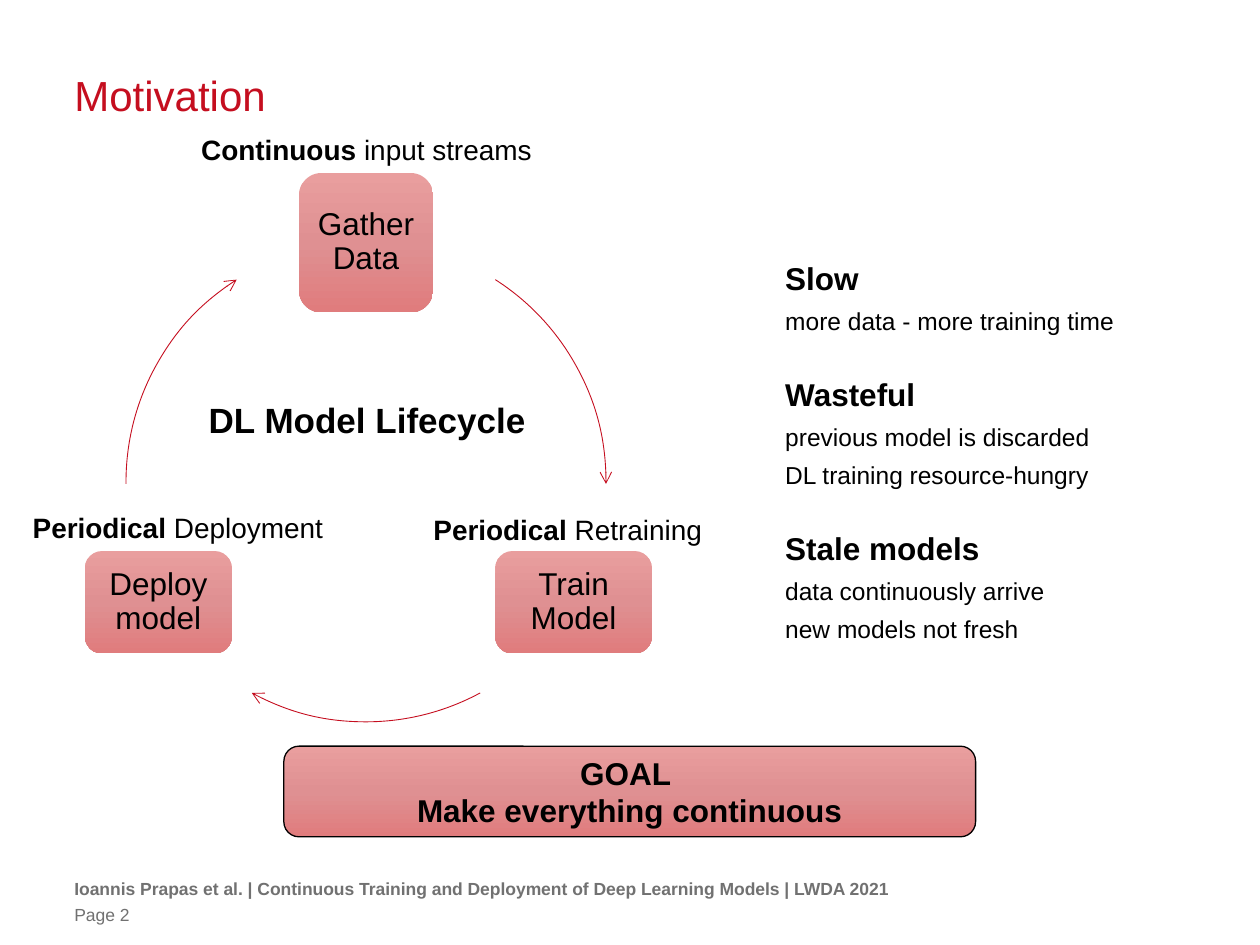
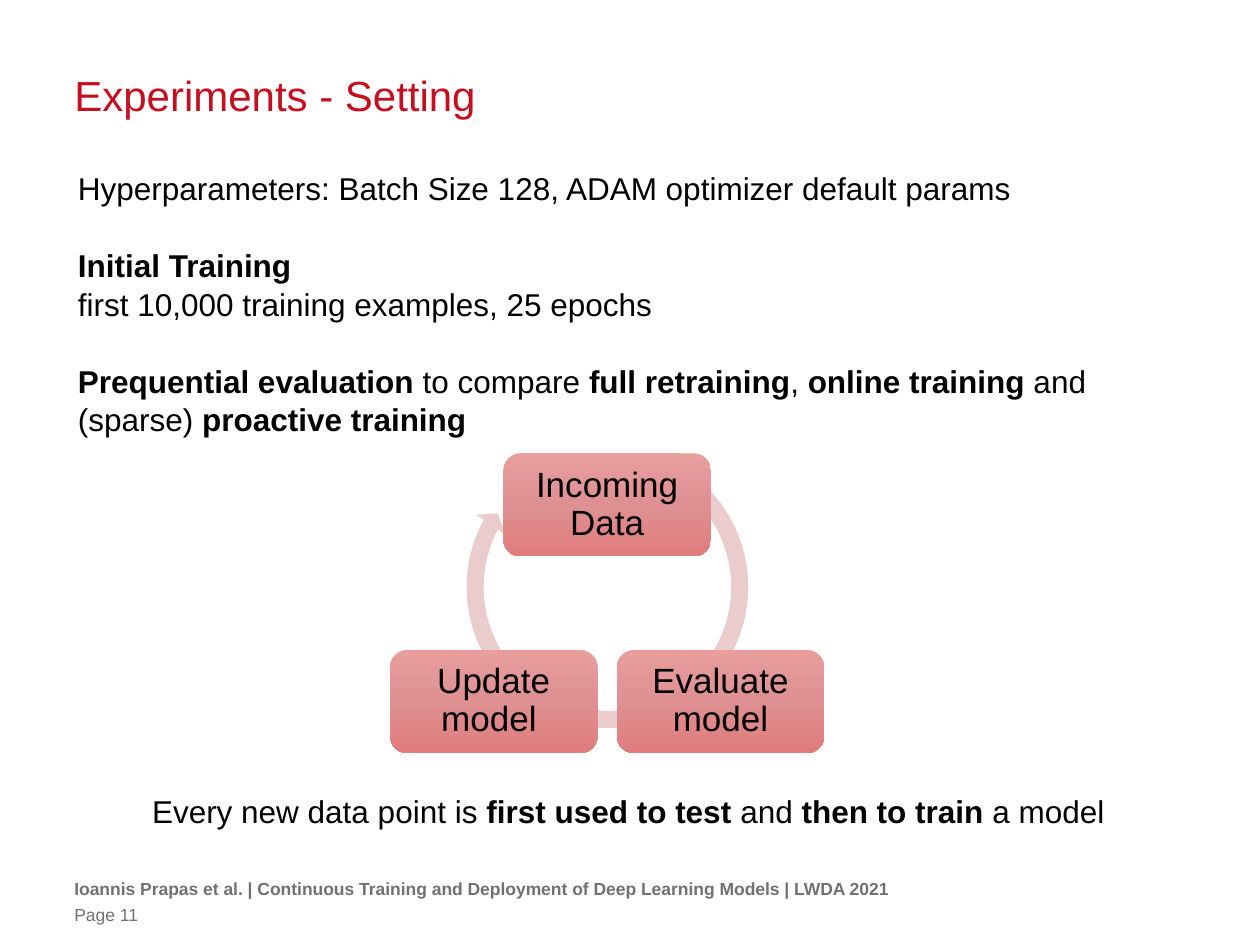
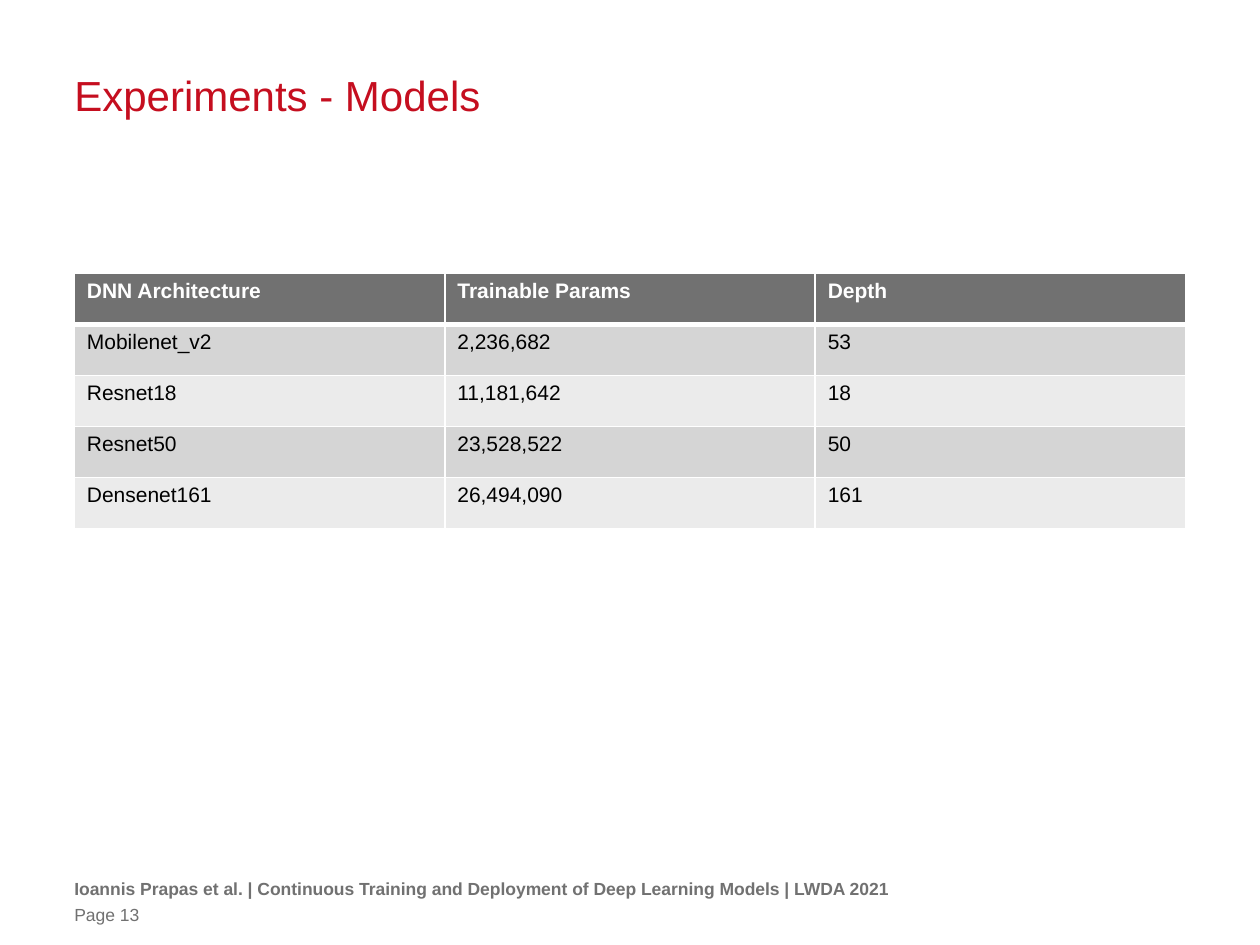
from copy import deepcopy
from dataclasses import dataclass

from lxml.etree import SubElement
from pptx import Presentation
from pptx.dml.color import RGBColor
from pptx.enum.shapes import MSO_SHAPE as Kind
from pptx.enum.text import MSO_ANCHOR as Anchor, PP_ALIGN as Align
from pptx.oxml.ns import qn
from pptx.util import Pt

FONT = "Arial"
LEFT, WIDE = 42.5, 635
COLORS = {
    "red": "C50E1F", "ink": "000000", "gray": "717171", "white": "FFFFFF",
    "ring": "EACCCD", "odd": "D5D5D5", "even": "EBEBEB",
    "top": "E99E9E", "mid": "DF9092", "low": "E07C7D",
}
FOOTER = ("Ioannis Prapas et al. | Continuous Training and Deployment "
          "of Deep Learning Models | LWDA 2021")
MODELS = [
    ("DNN Architecture", "Trainable Params", "Depth"),
    ("Mobilenet_v2", "2,236,682", "53"),
    ("Resnet18", "11,181,642", "18"),
    ("Resnet50", "23,528,522", "50"),
    ("Densenet161", "26,494,090", "161"),
]


@dataclass
class Line:
    """A paragraph; parts between asterisks are bold."""
    text: str
    size: float
    bold: bool = False
    gap: float = 0


def rgb(name):
    """Return the named colour."""
    return RGBColor.from_string(COLORS[name])


def style(font, size, color, bold=False):
    """Set the face, size, colour and weight of a font."""
    font.name, font.size, font.bold = FONT, Pt(size), bold
    font.color.rgb = rgb(color)


def write(frame, lines, color="ink", align=Align.LEFT, lead=None,
          pad=(0, 0), anchor=Anchor.TOP, wrap=True):
    """Fill a text frame with lines."""
    frame.word_wrap, frame.vertical_anchor = wrap, anchor
    frame.margin_left = frame.margin_right = Pt(pad[0])
    frame.margin_top = frame.margin_bottom = Pt(pad[1])
    for i, line in enumerate(lines):
        para = frame.add_paragraph() if i else frame.paragraphs[0]
        para.alignment, para.space_before = align, Pt(line.gap)
        if lead:
            para.line_spacing = lead
        style(para.font, line.size, color, line.bold)
        for j, part in enumerate(line.text.split("*")):
            if part:
                run = para.add_run()
                run.text = part
                if j % 2:
                    run.font.bold = True


def add_text(slide, area, lines, **opts):
    """Add a text box."""
    box = slide.shapes.add_textbox(*map(Pt, area))
    write(box.text_frame, lines, **opts)


def add_label(slide, area, line, wrap=False):
    """Add a centred label."""
    add_text(slide, area, [line], align=Align.CENTER, pad=(7.2, 3.6), wrap=wrap)


def add_card(slide, area, lines, lead=0.9, pad=(5, 5), edge=False):
    """Add a rounded box with a red gradient and centred text."""
    card = slide.shapes.add_shape(Kind.ROUNDED_RECTANGLE, *map(Pt, area))
    card.shadow.inherit = False
    card.fill.gradient()
    card.fill.gradient_angle = 270
    stops = card._element.xpath(".//a:gsLst")[0]
    stops.insert(1, deepcopy(stops[0]))
    for stop, name, spot in zip(card.fill.gradient_stops, ("top", "mid", "low"), (0, 0.5, 1)):
        stop.color.rgb, stop.position = rgb(name), spot
    if edge:
        card.line.color.rgb, card.line.width = rgb("ink"), Pt(0.75)
    else:
        card.line.fill.background()
    write(card.text_frame, lines, align=Align.CENTER, lead=lead, pad=pad,
          anchor=Anchor.MIDDLE)


def add_arc(slide, area, start, end):
    """Add a thin arc with an arrowhead, angles in degrees clockwise."""
    arc = slide.shapes.add_shape(Kind.ARC, *map(Pt, area))
    arc.shadow.inherit = False
    arc.fill.background()
    arc.adjustments[0], arc.adjustments[1] = start * 0.6, end * 0.6
    arc.line.color.rgb, arc.line.width = rgb("red"), Pt(0.5)
    SubElement(arc.line._get_or_add_ln(), qn("a:tailEnd"), type="arrow")


def add_ring(slide, area):
    """Add the pale circular arrow behind the cycle."""
    ring = slide.shapes.add_shape(Kind.CIRCULAR_ARROW, *map(Pt, area))
    ring.shadow.inherit = False
    ring.fill.solid()
    ring.fill.fore_color.rgb = rgb("ring")
    ring.line.fill.background()
    for i, value in enumerate((0.057, 3.405, 124.913, 182.203, 0.059)):
        ring.adjustments[i] = value


def underline(cell, width):
    """Draw a white border below a cell."""
    props = cell._tc.get_or_add_tcPr()
    edge = SubElement(props, qn("a:lnB"), w=str(Pt(width)))
    fill = SubElement(edge, qn("a:solidFill"))
    SubElement(fill, qn("a:srgbClr"), val=COLORS["white"])
    props.insert(0, edge)


def add_grid(slide, area, rows):
    """Add a table with a dark header and striped rows."""
    grid = slide.shapes.add_table(len(rows), len(rows[0]), *map(Pt, area)).table
    for r, row in enumerate(rows):
        fill = ("odd" if r % 2 else "even") if r else "gray"
        for c, text in enumerate(row):
            cell = grid.cell(r, c)
            cell.text = text
            cell.fill.solid()
            cell.fill.fore_color.rgb = rgb(fill)
            style(cell.text_frame.paragraphs[0].font, 12, "ink" if r else "white", not r)
            underline(cell, 1 if r else 3)


def add_slide(deck, title, page):
    """Add a slide with its title and footer."""
    slide = deck.slides.add_slide(deck.slide_layouts[6])
    add_text(slide, (LEFT, 40.3, WIDE, 28), [Line(title, 24)], color="red",
             lead=Pt(30), anchor=Anchor.BOTTOM)
    for top, text, bold in ((502, FOOTER, True), (516.5, f"Page {page}", False)):
        add_text(slide, (LEFT, top, 521, 12), [Line(text, 10, bold)], color="gray")
    return slide


def show_goal(deck):
    """Build the motivation slide."""
    slide = add_slide(deck, "Motivation", 2)
    for area, text in (
        ((170.9, 98.9, 76.6, 79.6), "Gather Data"),
        ((283, 314.9, 89.5, 58.5), "Train Model"),
        ((48.5, 314.9, 84, 58.5), "Deploy model"),
    ):
        add_card(slide, area, [Line(text, 18)])
    for start, end in ((302.6, 0.5), (61.6, 118.4), (179.5, 237.4)):
        add_arc(slide, (72, 138.2, 274.3, 274.3), start, end)
    for area, line in (
        ((111.2, 224, 197.3, 31.5), Line("DL Model Lifecycle", 20, True)),
        ((106.4, 72, 206, 26.6), Line("*Continuous* input streams", 16)),
        ((239.4, 289.4, 170, 26.6), Line("*Periodical* Retraining", 16)),
        ((10.6, 288, 182, 26.6), Line("*Periodical* Deployment", 16)),
    ):
        add_label(slide, area, line)
    lines = []
    for head, *notes in (
        ("Slow", "more data - more training time"),
        ("Wasteful", "previous model is discarded", "DL training resource-hungry"),
        ("Stale models", "data continuously arrive", "new models not fresh"),
    ):
        lines.append(Line(head, 18, True, 22 if lines else 0))
        lines += [Line(note, 14) for note in notes]
    add_text(slide, (448.7, 147.9, 218, 216), lines, lead=Pt(22))
    goal = [Line(text, 18, True) for text in ("GOAL ", "Make everything continuous")]
    add_card(slide, (162.2, 426.4, 395.3, 51.8), goal, lead=None, pad=(7.2, 3.6), edge=True)


def show_plan(deck):
    """Build the slide on the setting of the experiments."""
    slide = add_slide(deck, "Experiments - Setting", 11)
    add_text(slide, (44.5, 96.2, WIDE, 392), [
        Line("Hyperparameters: Batch Size 128, ADAM optimizer default params", 18),
        Line("Initial Training", 18, True, 22),
        Line("first 10,000 training examples, 25 epochs", 18),
        Line("*Prequential evaluation* to compare *full retraining*, "
             "*online training* and (sparse) *proactive training*", 18, gap=22),
    ], lead=Pt(22))
    add_ring(slide, (261.4, 249.8, 171.4, 171.4))
    for left, top, text in (
        (287.7, 259, "Incoming Data"),
        (352.5, 371.4, "Evaluate model"),
        (222.9, 371.4, "Update model "),
    ):
        add_card(slide, (left, top, 118.6, 59), [Line(text, 20)], pad=(5.8, 5.8))
    add_label(slide, (38.5, 449.3, 641, 28.8), Line(
        "Every new data point is *first used to test* and *then to train* a model", 18), True)


def show_nets(deck):
    """Build the slide that lists the models."""
    slide = add_slide(deck, "Experiments - Models", 13)
    add_grid(slide, (LEFT, 156.1, WIDE, 146), MODELS)


def main():
    """Build and save the deck."""
    deck = Presentation()
    deck.slide_width, deck.slide_height = Pt(720), Pt(540)
    show_goal(deck)
    show_plan(deck)
    show_nets(deck)
    deck.save("out.pptx")


main()
